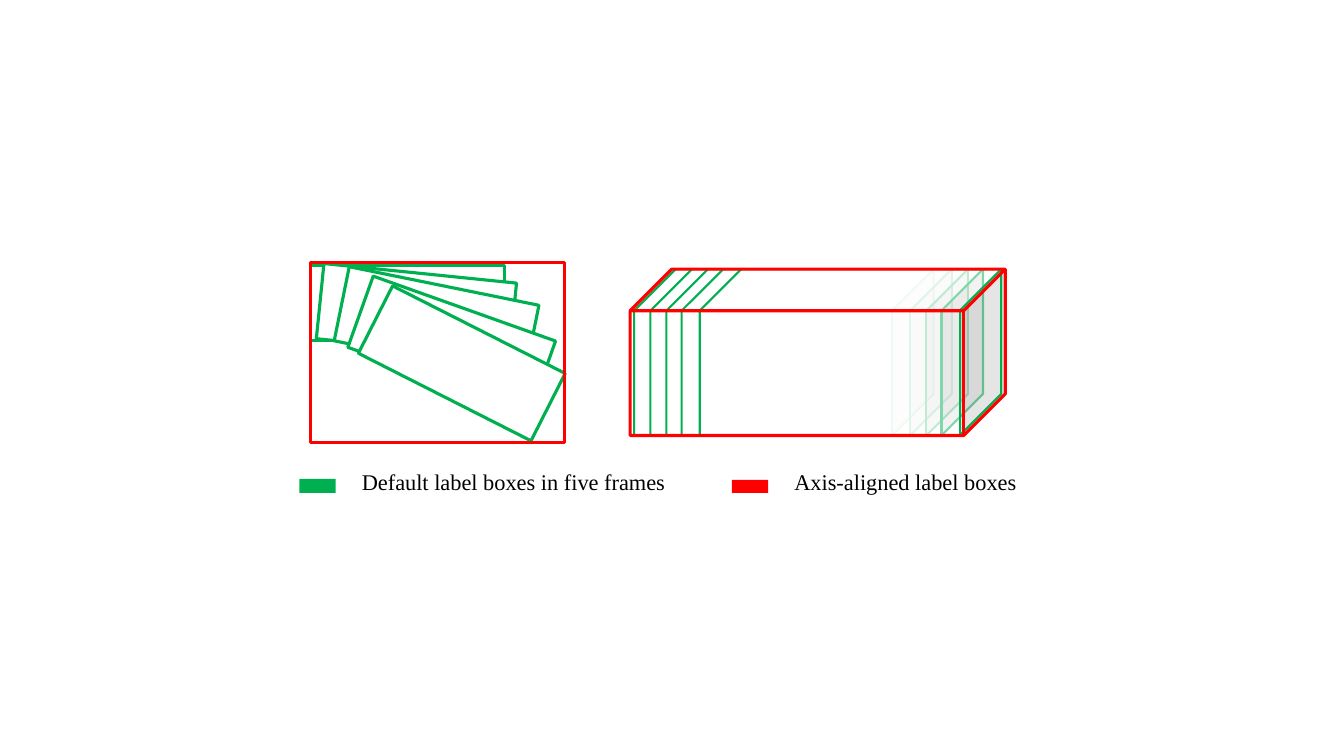
from lxml import etree
from pptx import Presentation, util as u
from pptx.dml.color import RGBColor
from pptx.enum import shapes, text
from pptx.oxml import ns

COLOURS = {"green": "00B050", "red": "FF0000", "white": "FFFFFF", "black": "000000"}
RECT, CUBE = shapes.MSO_SHAPE.RECTANGLE, shapes.MSO_SHAPE.CUBE


class Figure:
    """Holds the style and the current slide."""

    font = "Times New Roman"
    size = 16

    def __init__(self, page):
        self.page = page

    def colour(self, name):
        return RGBColor.from_string(COLOURS[name])

    def box(self, kind, left, top, width, height, fill=None, line=None,
            weight=2.25, rotation=0, opacity=100):
        box = self.page.shapes.add_shape(
            kind, *(u.Inches(n) for n in (left, top, width, height)))
        box.shadow.inherit = False
        box.rotation = rotation
        if fill:
            box.fill.solid()
            box.fill.fore_color.rgb = self.colour(fill)
        else:
            box.fill.background()
        if line:
            box.line.color.rgb = self.colour(line)
            box.line.width = u.Pt(weight)
        else:
            box.line.fill.background()
        if opacity < 100:
            shade = box.fill._xPr.find(ns.qn("a:solidFill"))[0]
            etree.SubElement(shade, ns.qn("a:alpha"), val=str(opacity * 1000))

    def label(self, left, top, width, height, words):
        box = self.page.shapes.add_textbox(
            *(u.Inches(n) for n in (left, top, width, height)))
        frame = box.text_frame
        frame.word_wrap = False
        frame.auto_size = text.MSO_AUTO_SIZE.SHAPE_TO_FIT_TEXT
        span = frame.paragraphs[0].add_run()
        span.text = words
        span.font.name = self.font
        span.font.size = u.Pt(self.size)
        span.font.color.rgb = self.colour("black")

    def legend(self, left, top, height, fill, width, words):
        self.box(RECT, left, top, 0.36, height, fill)
        self.label(left + 0.52, 4.6, width, 0.37, words)


def main():
    deck = Presentation()
    deck.slide_width, deck.slide_height = u.Inches(13.33), u.Inches(7.5)
    figure = Figure(deck.slides.add_slide(deck.slide_layouts[6]))

    # Top view: a label box turning over five frames, and its bounds
    turns = [(3.08, 2.63, 0), (3.17, 2.71, 5.8), (3.37, 2.83, 11.5),
             (3.52, 3.04, 19.6), (3.62, 3.23, 26.9)]
    for left, top, angle in turns:
        figure.box(RECT, left, top, 1.92, 0.75, "white", "green", rotation=angle)
    figure.box(RECT, 3.08, 2.6, 2.52, 1.79, line="red")

    # Side view: five see-through frames inside the aligned box
    for left, width in [(6.29, 2.97), (6.45, 2.99), (6.61, 2.99),
                        (6.76, 2.99), (6.94, 2.99)]:
        figure.box(CUBE, left, 2.67, width, 1.65, "white", "green", 1.5, opacity=50)
    figure.box(CUBE, 6.25, 2.67, 3.72, 1.65, line="red")

    # Legend
    figure.legend(2.97, 4.75, 0.14, "green", 3.26, "Default label boxes in five frames")
    figure.legend(7.26, 4.76, 0.13, "red", 2.44, "Axis-aligned label boxes")

    deck.save("out.pptx")


if __name__ == "__main__":
    main()
